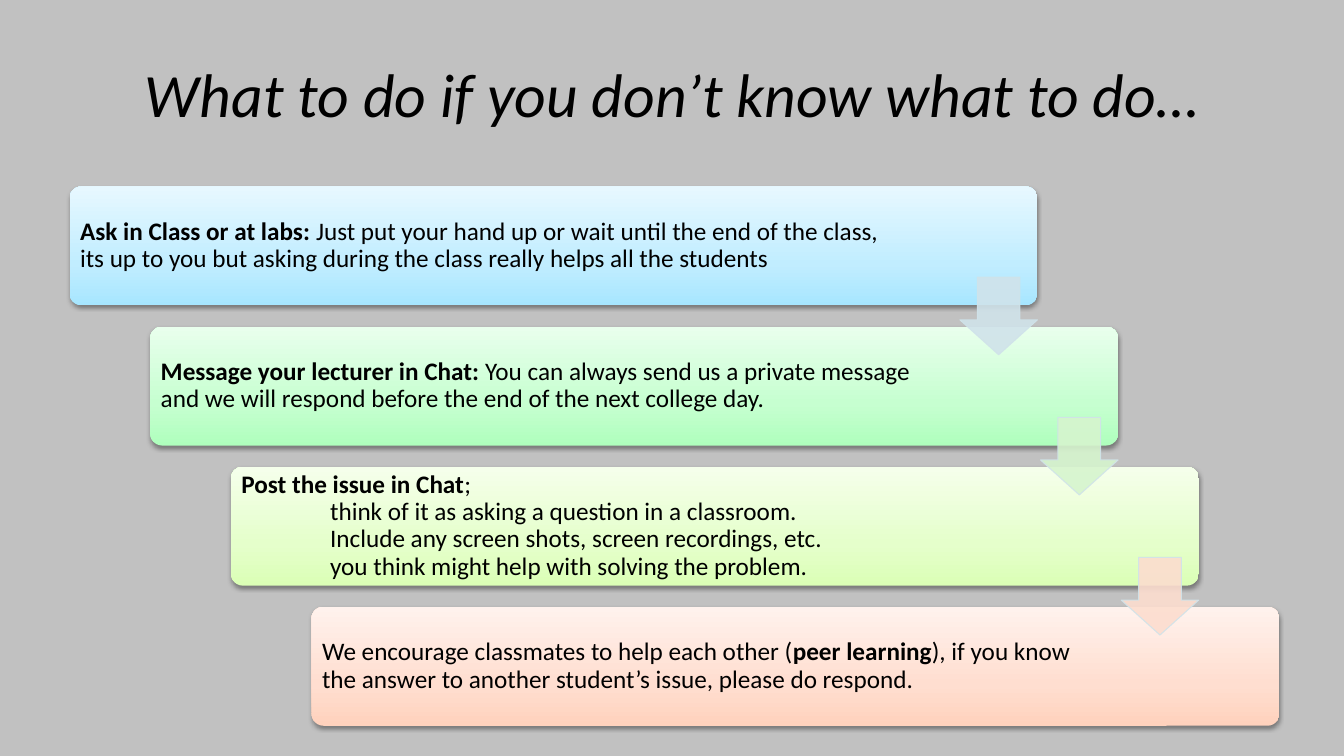
import copy
import pptx
import pptx.util
import pptx.dml.color
import pptx.enum.shapes
import pptx.enum.text
import pptx.oxml.ns
import lxml.etree

PX = 9144  # 100 px to the inch
FONT = "Calibri"
HUES = {
    "back": "C1C1C1", "ink": "000000", "edge": "D0E3EA",
    "blue": ("A7E6FF", "C1EDFF", "E7F8FF"),
    "green": ("AFFFBD", "C6FFD0", "E9FFED"),
    "lime": ("DBFFB6", "E5FFCB", "F5FFEB"),
    "peach": ("FFD2BD", "FFDED0", "FFF2ED"),
    "arrows": ("D0E3EA", "D6F4CE", "FCDDCF"),
}
KIND = pptx.enum.shapes.MSO_SHAPE
ALIGN = pptx.enum.text.PP_ALIGN

# Each card: hue, right inset, paragraphs of (text, bold) runs
CARDS = [
    ("blue", 138, [[("Ask in Class or at labs: ", True),
                    ("Just put your hand up or wait until the end of the class, its up to you "
                     "but asking during the class really helps all the students", False)]]),
    ("green", 165, [[("Message your lecturer in Chat: ", True),
                     ("You can always send us a private message and we will respond "
                      "before the end of the next college day.", False)]]),
    ("lime", 165, [[("Post the issue in Chat", True), (";", False)],
                   [("think of it as asking a question in a classroom.", False)],
                   [("Include any screen shots, screen recordings, etc.", False)],
                   [("you think might help with solving the problem.", False)]]),
    ("peach", 165, [[("We encourage classmates to help each other (", False),
                     ("peer learning", True),
                     ("), if you know the answer to another student’s issue, please do respond.",
                      False)]]),
]


def px(n):
    return pptx.util.Emu(n * PX)


def rgb(code):
    return pptx.dml.color.RGBColor.from_string(code)


def node(parent, tag, **attrs):
    return lxml.etree.SubElement(parent, pptx.oxml.ns.qn(tag), attrs)


def write(shape, paras, size=18, italic=False, align=ALIGN.LEFT, pad=(7, 7, 7, 7),
          indent=0, lead=0.9):
    """Fill a shape with paragraphs of runs; all but the first are indented."""
    frame = shape.text_frame
    frame.word_wrap = True
    frame.auto_size = pptx.enum.text.MSO_AUTO_SIZE.NONE
    frame.vertical_anchor = pptx.enum.text.MSO_ANCHOR.MIDDLE
    frame.margin_left, frame.margin_top, frame.margin_right, frame.margin_bottom = map(px, pad)
    for i, runs in enumerate(paras):
        para = frame.add_paragraph() if i else frame.paragraphs[0]
        para.alignment = align
        para.line_spacing = lead
        if i:
            para._p.get_or_add_pPr().set("marL", str(px(indent)))
        for words, bold in runs:
            run = para.add_run()
            run.text = words
            font = run.font
            font.name, font.size = FONT, pptx.util.Pt(size)
            font.bold, font.italic = bold, italic
            font.color.rgb = rgb(HUES["ink"])


def shade(shape, hues):
    """Three-stop gradient rising from the bottom edge."""
    fill = shape.fill
    fill.gradient()
    fill.gradient_angle = 90
    stops = shape._element.spPr.find(".//" + pptx.oxml.ns.qn("a:gsLst"))
    stops.append(copy.deepcopy(stops[0]))
    for stop, spot, hue in zip(fill.gradient_stops, (0, 0.35, 1), hues):
        stop.position = spot
        stop.color.rgb = rgb(hue)


def drop(shape):
    """Soft shadow just below the shape."""
    shape.shadow.inherit = False
    effects = shape._element.spPr.find(pptx.oxml.ns.qn("a:effectLst"))
    outer = node(effects, "a:outerShdw", blurRad=str(pptx.util.Pt(3.1)),
                 dist=str(pptx.util.Pt(1.6)), dir="5400000", rotWithShape="0")
    node(node(outer, "a:srgbClr", val=HUES["ink"]), "a:alpha", val="38000")


def head(slide, x, y, w, h):
    title = slide.shapes.title
    title.left, title.top, title.width, title.height = map(px, (x, y, w, h))
    write(title, [[("What to do if you don’t know what to do…", False)]], size=44,
          italic=True, align=ALIGN.CENTER, pad=(10, 5, 10, 5), lead=1.0)


def card(slide, x, y, w, h, hue, inset, paras):
    box = slide.shapes.add_shape(KIND.ROUNDED_RECTANGLE, *map(px, (x, y, w, h)))
    box.adjustments[0] = 0.1
    box.line.fill.background()
    shade(box, HUES[hue])
    drop(box)
    write(box, paras, pad=(7, 7, inset, 7), indent=88)


def arrow(slide, x, y, side, hue):
    mark = slide.shapes.add_shape(KIND.DOWN_ARROW, *map(px, (x, y, side, side)))
    mark.shadow.inherit = False
    mark.adjustments[0], mark.adjustments[1] = 0.55, 0.45
    mark.fill.solid()
    mark.fill.fore_color.rgb = rgb(hue)
    mark.line.color.rgb = rgb(HUES["edge"])
    mark.line.width = pptx.util.Pt(0.75)
    for paint in mark._element.spPr.iter(pptx.oxml.ns.qn("a:srgbClr")):
        node(paint, "a:alpha", val="90000")


def stairs(slide, x, y, w, h):
    """Cards stepping down to the right, with an arrow from each to the next."""
    wide, high, side = 960, 118, 77
    last = len(CARDS) - 1
    across, down = (w - wide) // last, (h - high) // last
    for i, (hue, inset, paras) in enumerate(CARDS):
        card(slide, x + i * across, y + i * down, wide, high, hue, inset, paras)
    for i, hue in enumerate(HUES["arrows"]):
        arrow(slide, x + i * across + wide - side, y + i * down + 90, side, hue)


def main():
    deck = pptx.Presentation()
    deck.slide_width, deck.slide_height = px(1333), px(750)
    slide = deck.slides.add_slide(deck.slide_layouts[5])
    slide.background.fill.solid()
    slide.background.fill.fore_color.rgb = rgb(HUES["back"])
    head(slide, 67, 30, 1200, 125)
    stairs(slide, 69, 185, 1200, 535)
    deck.save("out.pptx")


if __name__ == "__main__":
    main()
